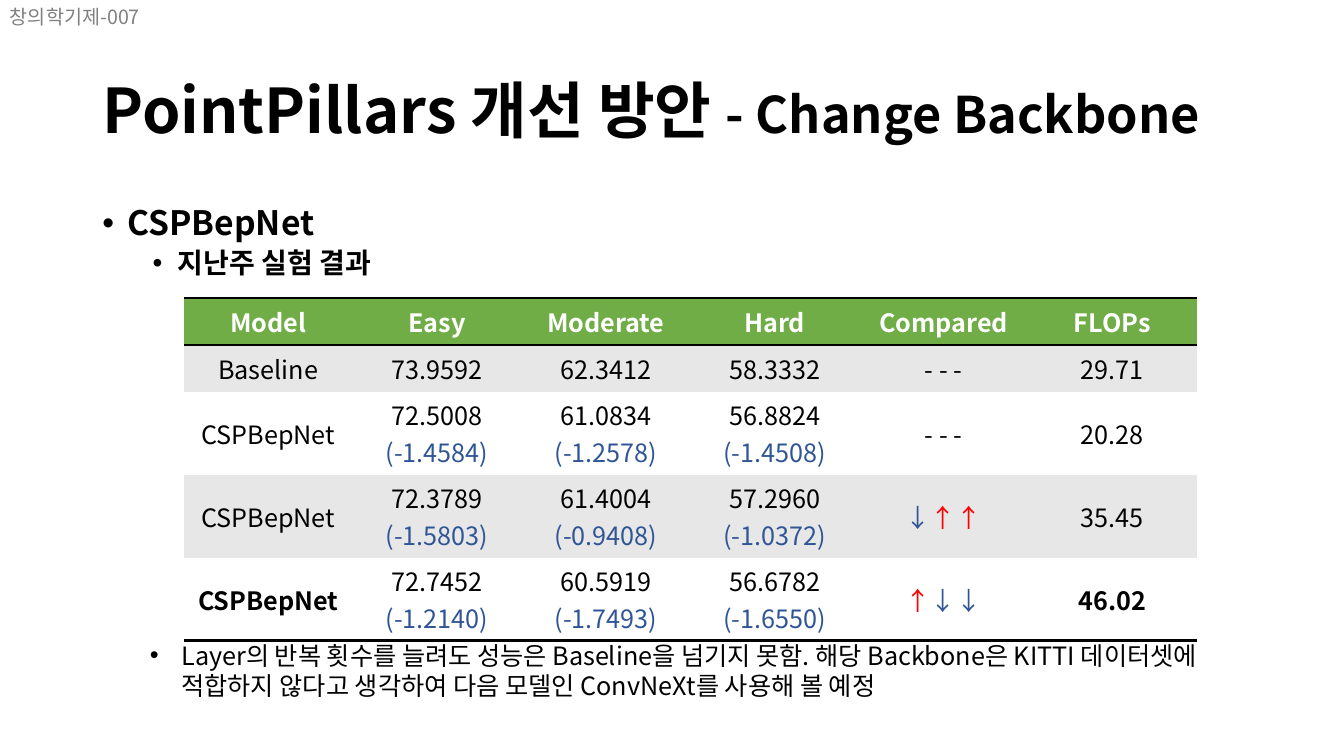
from lxml.etree import SubElement
from pptx import Presentation
from pptx.dml.color import RGBColor
from pptx.enum.text import MSO_ANCHOR as Anchor, PP_ALIGN as Align
from pptx.oxml.ns import qn
from pptx.util import Pt

COLORS = {"black": "000000", "gray": "808080", "white": "FFFFFF", "green": "70AD47",
          "band": "E7E7E7", "blue": "2F5597", "red": "FF0000"}
HEADERS = ["Model", "Easy", "Moderate", "Hard", "Compared", "FLOPs"]
RESULTS = [
    ("Baseline", ["73.9592", "62.3412", "58.3332"], "- - -", "29.71"),
    ("CSPBepNet", ["72.5008 (-1.4584)", "61.0834 (-1.2578)", "56.8824 (-1.4508)"], "- - -", "20.28"),
    ("CSPBepNet", ["72.3789 (-1.5803)", "61.4004 (-0.9408)", "57.2960 (-1.0372)"], "↓↑↑", "35.45"),
    ("CSPBepNet", ["72.7452 (-1.2140)", "60.5919 (-1.7493)", "56.6782 (-1.6550)"], "↑↓↓", "46.02"),
]
ARROWS = {"↑": "red", "↓": "blue"}
NO_STYLE = "{2D5ABB26-0587-4C30-8999-92F81FD0307C}"


class Deck:
    """Holds the font and the current slide, and adds styled elements to it."""

    def __init__(self, prs, font):
        self.font = font
        self.s = prs.slides.add_slide(prs.slide_layouts[5])

    def run(self, p, text, size, color="black", bold=False):
        """Add one formatted run to a paragraph."""
        r = p.add_run()
        r.text = text
        for name, value in {"size": Pt(size), "bold": bold, "name": self.font}.items():
            setattr(r.font, name, value)
        r.font.color.rgb = RGBColor.from_string(COLORS[color])
        SubElement(r.font._element, qn("a:ea"), typeface=self.font)

    def bullet(self, p, margin, hang):
        """Give a paragraph a hanging round bullet."""
        pPr = p._p.get_or_add_pPr()
        pPr.set("marL", str(Pt(margin)))
        pPr.set("indent", str(Pt(-hang)))
        SubElement(pPr, qn("a:buFont"), typeface="Arial")
        SubElement(pPr, qn("a:buChar"), char="•")

    def place(self, sp, box):
        """Move and size a shape."""
        for name, value in zip(("left", "top", "width", "height"), box):
            setattr(sp, name, Pt(value))

    def title(self, box, parts):
        """Fill the title placeholder with (text, size) parts."""
        sp = self.s.shapes.title
        self.place(sp, box)
        tf = sp.text_frame
        tf.word_wrap, tf.vertical_anchor = True, Anchor.MIDDLE
        p = tf.paragraphs[0]
        p.alignment, p.line_spacing = Align.LEFT, 0.9
        for text, size in parts:
            self.run(p, text, size, bold=True)

    def text(self, box, items, wrap=True):
        """Add a text box of (text, run format, paragraph format, bullet) items."""
        tf = self.s.shapes.add_textbox(*map(Pt, box)).text_frame
        tf.word_wrap = wrap
        for i, (text, run_format, para_format, bullet) in enumerate(items):
            p = tf.add_paragraph() if i else tf.paragraphs[0]
            for name, value in para_format.items():
                setattr(p, name, value)
            if bullet:
                self.bullet(p, *bullet)
            self.run(p, text, **run_format)

    def border(self, cell, side):
        """Draw a black line on one side of a cell."""
        ln = SubElement(cell._tc.get_or_add_tcPr(), qn(f"a:{side}"), w=str(Pt(2)))
        SubElement(SubElement(ln, qn("a:solidFill")), qn("a:srgbClr"), val=COLORS["black"])

    def cell(self, cell, lines, fill, sides=(), bold=False):
        """Fill a cell with centred lines of (text, color) runs."""
        for side in sides:
            self.border(cell, side)
        cell.fill.solid()
        cell.fill.fore_color.rgb = RGBColor.from_string(COLORS[fill])
        cell.vertical_anchor = Anchor.MIDDLE
        tf = cell.text_frame
        for i, runs in enumerate(lines):
            p = tf.add_paragraph() if i else tf.paragraphs[0]
            p.alignment = Align.CENTER
            for text, color in runs:
                self.run(p, text, 18, color, bold)

    def table(self, box, headers, results, heights):
        """Add the results table, banded, with a coloured header."""
        shape = self.s.shapes.add_table(len(results) + 1, len(headers), *map(Pt, box))
        table = shape.table
        table.first_row = table.horz_banding = False
        table._tbl.tblPr.find(qn("a:tableStyleId")).text = NO_STYLE
        for row, height in zip(table.rows, heights):
            row.height = Pt(height)
        for c, text in enumerate(headers):
            self.cell(table.cell(0, c), [[(text, "white")]], "green", ("lnT", "lnB"), True)
        for i, (model, scores, compared, flops) in enumerate(results, 1):
            last = i == len(results)
            lines = [[[(model, "black")]]]
            for score in scores:
                lines.append([[(t, color)] for t, color in zip(score.split(), ("black", "blue"))])
            marks = compared if compared[0] in ARROWS else [compared]
            lines += [[[(m, ARROWS.get(m, "black")) for m in marks]], [[(flops, "black")]]]
            for c, content in enumerate(lines):
                self.cell(table.cell(i, c), content, "white" if i % 2 == 0 else "band",
                          ("lnB",) if last else (), last and c in (0, len(headers) - 1))


def main():
    """Build the slide and save it."""
    prs = Presentation()
    prs.slide_width, prs.slide_height = Pt(960), Pt(540)
    deck = Deck(prs, "Noto Sans CJK KR")
    deck.title((66, 28.8, 828, 104.4), [("PointPillars 개선 방안 ", 44), ("- Change Backbone", 36)])
    deck.text((0, 0, 123, 24.5), [("창의학기제-007", {"size": 14, "color": "gray"}, {}, None)], False)
    deck.text((66, 144, 828, 64), [
        ("CSPBepNet", {"size": 24, "bold": True},
         {"line_spacing": 0.9, "space_before": Pt(10)}, (18, 18)),
        ("지난주 실험 결과", {"size": 20, "bold": True},
         {"level": 1, "line_spacing": 0.9, "space_before": Pt(5)}, (54, 18)),
    ])
    deck.table((131.3, 213, 723.6, 244.5), HEADERS, RESULTS, [33.4] * 2 + [59.25] * 3)
    deck.text((100, 453.6, 767, 51), [
        ("Layer의 반복 횟수를 늘려도 성능은 Baseline을 넘기지 못함. 해당 Backbone은 KITTI "
         "데이터셋에 적합하지 않다고 생각하여 다음 모델인 ConvNeXt를 사용해 볼 예정",
         {"size": 18}, {}, (22.5, 22.5)),
    ])
    prs.save("out.pptx")


if __name__ == "__main__":
    main()
